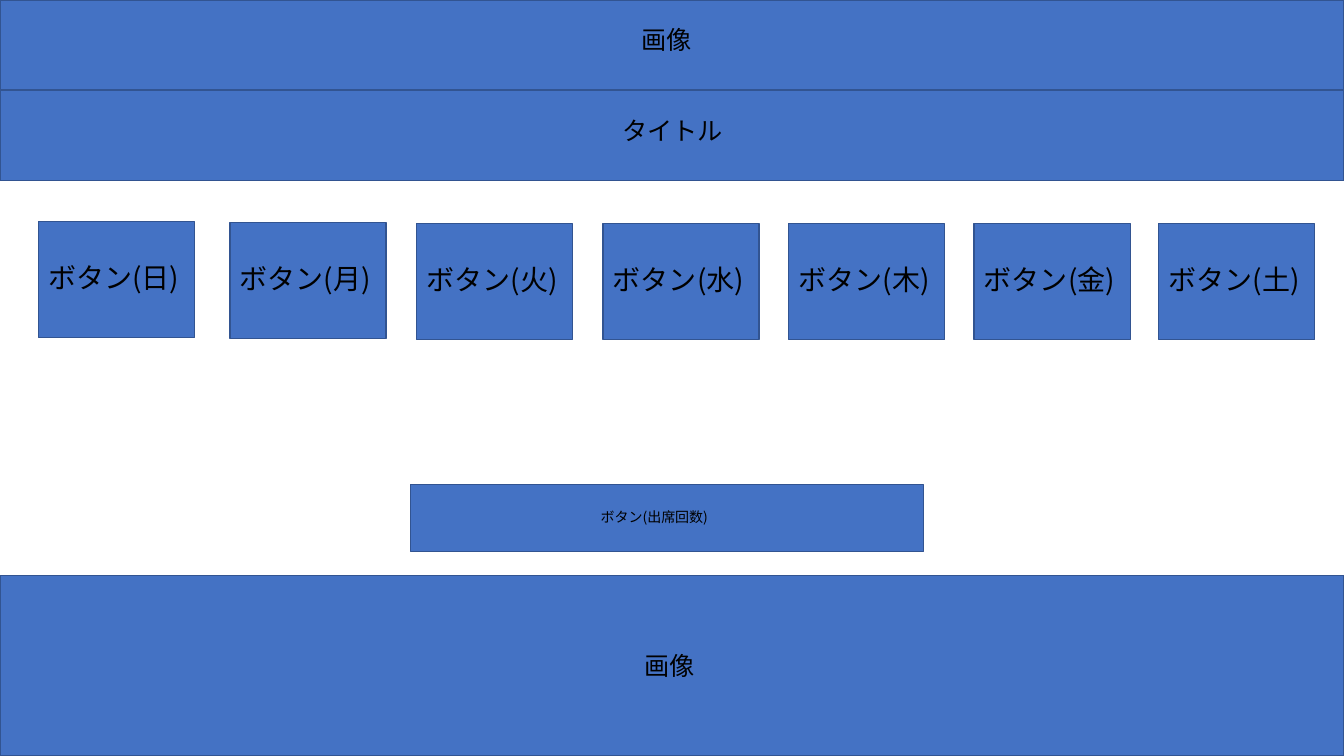
import lxml.etree
import pptx
import pptx.dml.color
import pptx.enum.shapes
import pptx.enum.text
import pptx.oxml.ns
import pptx.util
from pptx.util import Inches

COLOURS = {"band": "4472C4", "border": "325491", "text": "000000"}
FONT = "Noto Sans CJK JP"
SLIDE_WIDTH = 13.33
DAY_BUTTONS = [
    ("日", 0.38, 2.20),
    ("月", 2.28, 2.21),
    ("火", 4.13, 2.22),
    ("水", 5.98, 2.22),
    ("木", 7.82, 2.22),
    ("金", 9.66, 2.22),
    ("土", 11.49, 2.22),
]


def colour(name):
    return pptx.dml.color.RGBColor.from_string(COLOURS[name])


def write_text(box, text, size=18, left_margin=0.1):
    frame = box.text_frame
    frame.word_wrap = True
    frame.auto_size = pptx.enum.text.MSO_AUTO_SIZE.SHAPE_TO_FIT_TEXT
    frame.vertical_anchor = pptx.enum.text.MSO_ANCHOR.TOP
    frame.margin_left = Inches(left_margin)
    para = frame.paragraphs[0]
    para.alignment = pptx.enum.text.PP_ALIGN.LEFT
    para.line_spacing = 1.0
    span = para.add_run()
    span.text = text
    span.font.size = pptx.util.Pt(size)
    span.font.color.rgb = colour("text")
    span.font.name = FONT
    east_asian = lxml.etree.SubElement(
        span._r.get_or_add_rPr(), pptx.oxml.ns.qn("a:ea"))
    east_asian.set("typeface", FONT)


def add_block(shapes, left, top, width, height):
    block = shapes.add_shape(
        pptx.enum.shapes.MSO_SHAPE.RECTANGLE,
        Inches(left), Inches(top), Inches(width), Inches(height))
    block.shadow.inherit = False
    block.fill.solid()
    block.fill.fore_color.rgb = colour("band")
    block.line.color.rgb = colour("border")
    block.line.width = pptx.util.Pt(1)


def add_labelled_block(slide, text, block_area, label_area, size=18):
    """Group a rectangle with its label; areas are left, top, width, height."""
    group = slide.shapes.add_group_shape()
    add_block(group.shapes, *block_area)
    label = group.shapes.add_textbox(*map(Inches, label_area))
    write_text(label, text, size=size)


def add_title_band(slide):
    add_block(slide.shapes, 0, 0.9, SLIDE_WIDTH, 0.89)
    title = slide.shapes.title
    title.left, title.top = Inches(5.07), Inches(1.09)
    title.width, title.height = Inches(2.26), Inches(0.4)
    write_text(title, "タイトル", left_margin=1.1)
    # The title must lie in front of its band.
    title.element.getparent().append(title.element)


def main():
    deck = pptx.Presentation()
    deck.slide_width, deck.slide_height = Inches(SLIDE_WIDTH), Inches(7.5)
    slide = deck.slides.add_slide(deck.slide_layouts.get_by_name("Title Only"))

    add_labelled_block(slide, "画像", (0, 0, SLIDE_WIDTH, 0.89),
                       (6.26, 0.19, 0.7, 0.4))
    add_title_band(slide)
    for day, left, top in DAY_BUTTONS:
        add_labelled_block(slide, f"ボタン({day})", (left, top, 1.55, 1.15),
                           (left, top + 0.34, 1.55, 0.44), size=20)
    add_labelled_block(slide, "ボタン(出席回数)", (4.07, 4.81, 5.09, 0.66),
                       (5.86, 5, 1.62, 0.27), size=10)
    add_labelled_block(slide, "画像", (0, 5.71, SLIDE_WIDTH, 1.79),
                       (6.29, 6.4, 0.75, 0.4))
    deck.save("out.pptx")


if __name__ == "__main__":
    main()
